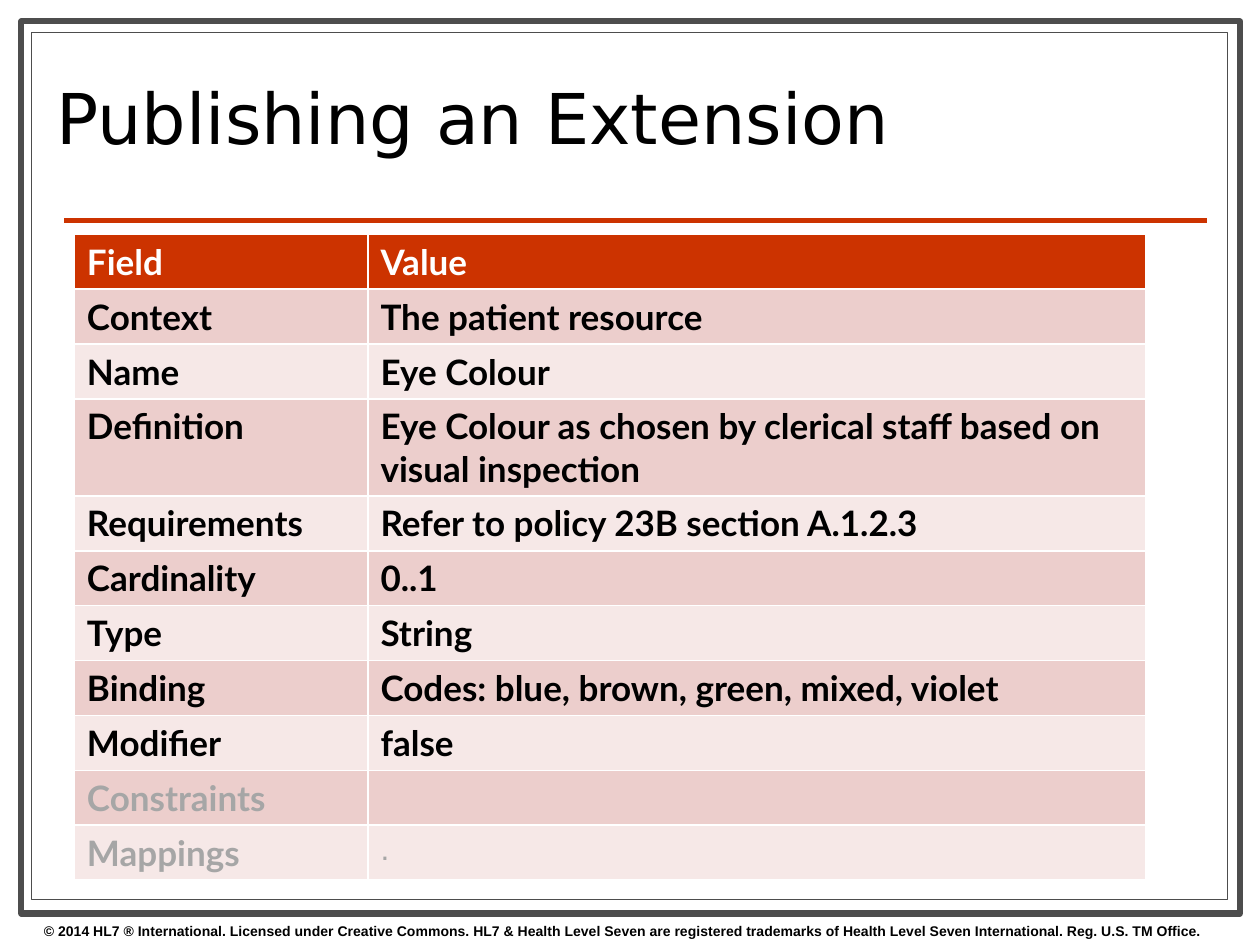
import pptx
import pptx.dml.color
import pptx.enum.shapes
import pptx.enum.text
import pptx.oxml
import pptx.util

Inches = pptx.util.Inches
Pt = pptx.util.Pt


def colour(code):
    return pptx.dml.color.RGBColor.from_string(code)


def style(paragraph, face, size, code, bold=False):
    paragraph.font.name = face
    paragraph.font.size = Pt(size)
    paragraph.font.color.rgb = colour(code)
    paragraph.font.bold = bold
    for run in paragraph.runs:
        run.font.name = face
        run.font.size = Pt(size)
        run.font.color.rgb = colour(code)
        run.font.bold = bold


deck = pptx.Presentation()
deck.slide_width = Inches(10)
deck.slide_height = Inches(7.5)
slide = deck.slides.add_slide(deck.slide_layouts[5])

frames = [(0.17, 0.17, 9.67, 7.08, 3.5), (0.25, 0.26, 9.49, 6.88, 0.75)]
for left, top, width, height, weight in frames:
    frame = slide.shapes.add_shape(
        pptx.enum.shapes.MSO_SHAPE.RECTANGLE,
        Inches(left), Inches(top), Inches(width), Inches(height))
    frame.shadow.inherit = False
    frame.fill.solid()
    frame.fill.fore_color.rgb = colour("FFFFFF")
    frame.line.color.rgb = colour("4D4D4D")
    frame.line.width = Pt(weight)

rule = slide.shapes.add_connector(
    pptx.enum.shapes.MSO_CONNECTOR.STRAIGHT,
    Inches(0.51), Inches(1.75), Inches(9.58), Inches(1.75))
rule.line.color.rgb = colour("CC3300")
rule.line.width = Pt(3)
rule._element.spPr.append(pptx.oxml.parse_xml(
    '<a:effectLst xmlns:a="http://schemas.openxmlformats.org/drawingml/2006/main"/>'))

copyright_line = slide.shapes.add_textbox(
    Inches(0.25), Inches(7.27), Inches(10), Inches(0.23))
copyright_line.text_frame.word_wrap = True
copyright_line.text_frame.text = (
    "© 2014 HL7 ® International. Licensed under Creative Commons. "
    "HL7 & Health Level Seven are registered trademarks of "
    "Health Level Seven International. Reg. U.S. TM Office.")
style(copyright_line.text_frame.paragraphs[0], "Arial", 8, "000000", True)

title = slide.shapes.title
slide.shapes._spTree.append(title._element)
title.left, title.top = Inches(0.35), Inches(0.36)
title.width, title.height = Inches(7.17), Inches(1.26)
title.text_frame.text = "Publishing an Extension"
title.text_frame.auto_size = pptx.enum.text.MSO_AUTO_SIZE.NONE
title.text_frame.vertical_anchor = pptx.enum.text.MSO_ANCHOR.MIDDLE
heading = title.text_frame.paragraphs[0]
heading.alignment = pptx.enum.text.PP_ALIGN.LEFT
heading.line_spacing = 0.8
style(heading, "DejaVu Sans", 40, "000000")

fields = [
    ("Field", "Value"),
    ("Context", "The patient resource"),
    ("Name", "Eye Colour"),
    ("Definition", "Eye Colour as chosen by clerical staff based on visual inspection"),
    ("Requirements", "Refer to policy 23B section A.1.2.3"),
    ("Cardinality", "0..1"),
    ("Type", "String"),
    ("Binding", "Codes: blue, brown, green, mixed, violet"),
    ("Modifier", "false"),
    ("Constraints", ""),
    ("Mappings", "."),
]
row_height = Inches(0.41)
extension = slide.shapes.add_table(
    len(fields), 2, Inches(0.59), Inches(1.86),
    Inches(8.5), row_height * len(fields)).table
extension.columns[0].width = Inches(2.33)
extension.columns[1].width = Inches(6.17)

unused = ("Constraints", "Mappings")
for row, entry in enumerate(fields):
    extension.rows[row].height = row_height
    if row == 0:
        band, ink = "CC3300", "FFFFFF"
    else:
        band = "ECCECC" if row % 2 else "F6E8E7"
        ink = "A6A6A6" if entry[0] in unused else "000000"
    for column, wording in enumerate(entry):
        cell = extension.cell(row, column)
        cell.fill.solid()
        cell.fill.fore_color.rgb = colour(band)
        cell.text_frame.text = wording
        if wording == ".":
            style(cell.text_frame.paragraphs[0], "Arial", 18, ink)
        else:
            style(cell.text_frame.paragraphs[0], "Lato", 20, ink, True)

deck.save("out.pptx")
